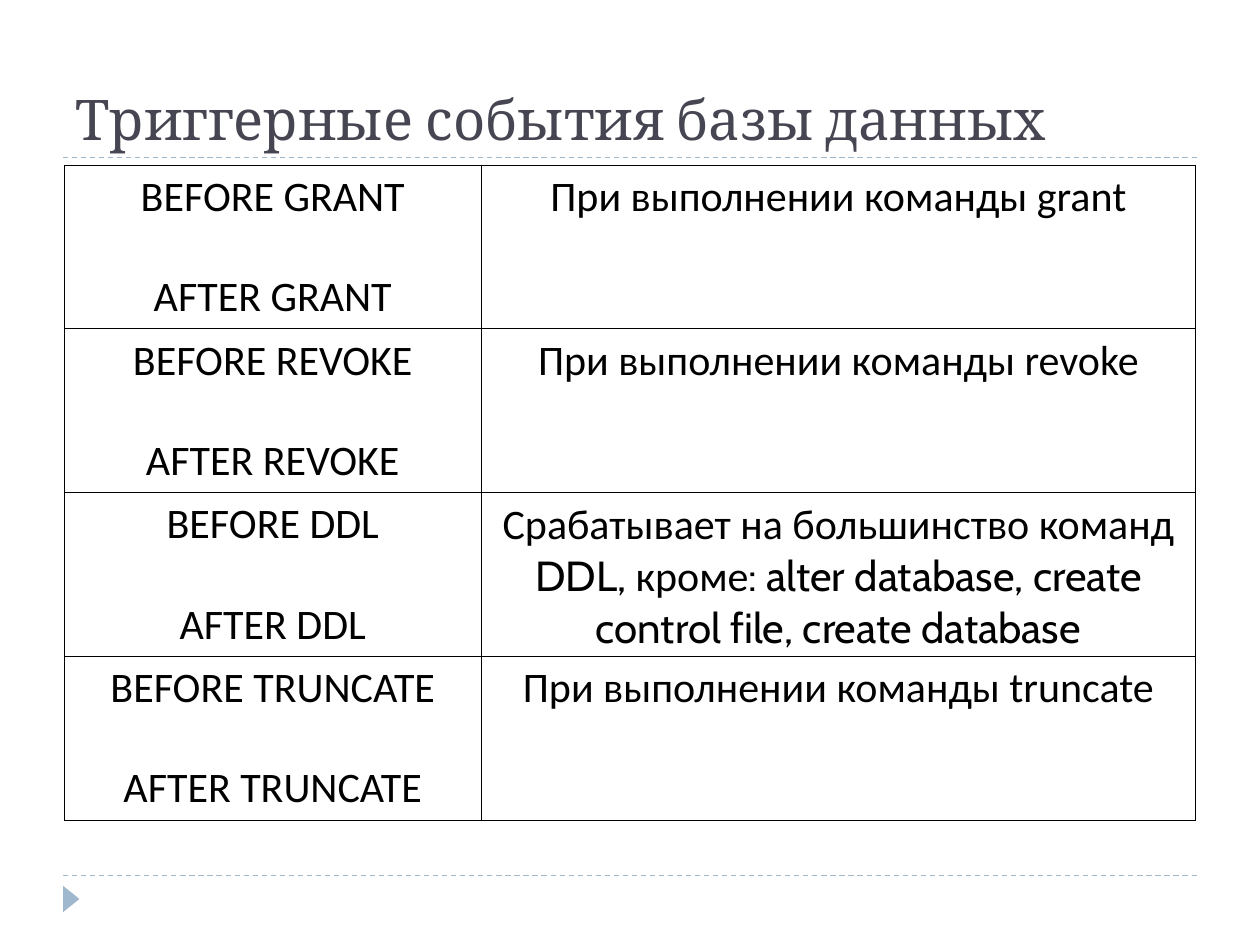
from lxml import etree
from pptx import Presentation
from pptx import util as u
from pptx.dml.color import RGBColor
from pptx.enum import dml, shapes, text
from pptx.oxml.ns import qn

HUES = {"title": "464653", "accent": "9FB8CD", "ink": "000000"}
ROWS = [
    ("GRANT", [("При выполнении команды grant", "Calibri")]),
    ("REVOKE", [("При выполнении команды revoke", "Calibri")]),
    ("DDL", [
        ("Срабатывает на большинство команд", "Calibri"),
        (" DDL, ", "Cabin"),
        ("кроме", "Calibri"),
        (": alter database, create control file, create database", "Cabin"),
    ]),
    ("TRUNCATE", [("При выполнении команды truncate", "Calibri")]),
]


def write(para, words, face, size, hue):
    run = para.add_run()
    run.text = words
    style = {"name": face, "size": u.Pt(size)}
    for key, value in style.items():
        setattr(run.font, key, value)
    run.font.color.rgb = RGBColor.from_string(HUES[hue])


def border(cell):
    """Draw a thin line on all four sides of the cell."""
    props = cell._tc.get_or_add_tcPr()
    for side in ("lnL", "lnR", "lnT", "lnB"):
        line = etree.SubElement(props, qn(f"a:{side}"), w=str(u.Pt(0.45)))
        fill = etree.SubElement(line, qn("a:solidFill"))
        etree.SubElement(fill, qn("a:srgbClr"), val=HUES["ink"])


deck = Presentation()
deck.slide_width, deck.slide_height = u.Inches(10), u.Inches(7.5)
slide = deck.slides.add_slide(deck.slide_layouts[6])

# Dashed rules and the corner marker
for y in (6.95, 1.25):
    rule = slide.shapes.add_connector(
        shapes.MSO_CONNECTOR.STRAIGHT,
        u.Inches(0.5), u.Inches(y), u.Inches(9.5), u.Inches(y))
    rule.line.color.rgb = RGBColor.from_string(HUES["accent"])
    rule.line.width = u.Pt(0.75)
    rule.line.dash_style = dml.MSO_LINE.DASH
    etree.SubElement(rule._element.spPr, qn("a:effectLst"))

mark = slide.shapes.add_shape(
    shapes.MSO_SHAPE.ISOSCELES_TRIANGLE,
    u.Inches(0.46), u.Inches(7.07), u.Inches(0.21), u.Inches(0.13))
mark.rotation = 90
mark.shadow.inherit = False
mark.fill.solid()
mark.fill.fore_color.rgb = RGBColor.from_string(HUES["accent"])
mark.line.fill.background()

# Title
title = slide.shapes.add_textbox(
    u.Inches(0.5), u.Inches(0.6), u.Inches(9), u.Inches(0.65)).text_frame
title.word_wrap = True
title.vertical_anchor = text.MSO_ANCHOR.BOTTOM
write(title.paragraphs[0], "Триггерные события базы данных", "Cambria", 32, "title")

# Table of events
grid = slide.shapes.add_table(
    len(ROWS), 2, u.Inches(0.51), u.Inches(1.31), u.Inches(8.98), u.Inches(5.2)).table
grid.first_row = grid.horz_banding = False
for col, width in zip(grid.columns, (3.31, 5.67)):
    col.width = u.Inches(width)

for row, (event, parts) in enumerate(ROWS):
    grid.rows[row].height = u.Inches(1.3)
    left, right = grid.cell(row, 0), grid.cell(row, 1)
    for cell in (left, right):
        border(cell)
        cell.fill.background()

    first = left.text_frame.paragraphs[0]
    last = left.text_frame.add_paragraph()
    last.space_before = u.Pt(28)
    write(first, f"BEFORE {event}", "Calibri", 24, "ink")
    write(last, f"AFTER {event}", "Calibri", 24, "ink")

    note = right.text_frame.paragraphs[0]
    for words, face in parts:
        write(note, words, face, 24, "ink")
    for para in (first, last, note):
        para.alignment = text.PP_ALIGN.CENTER

deck.save("out.pptx")
